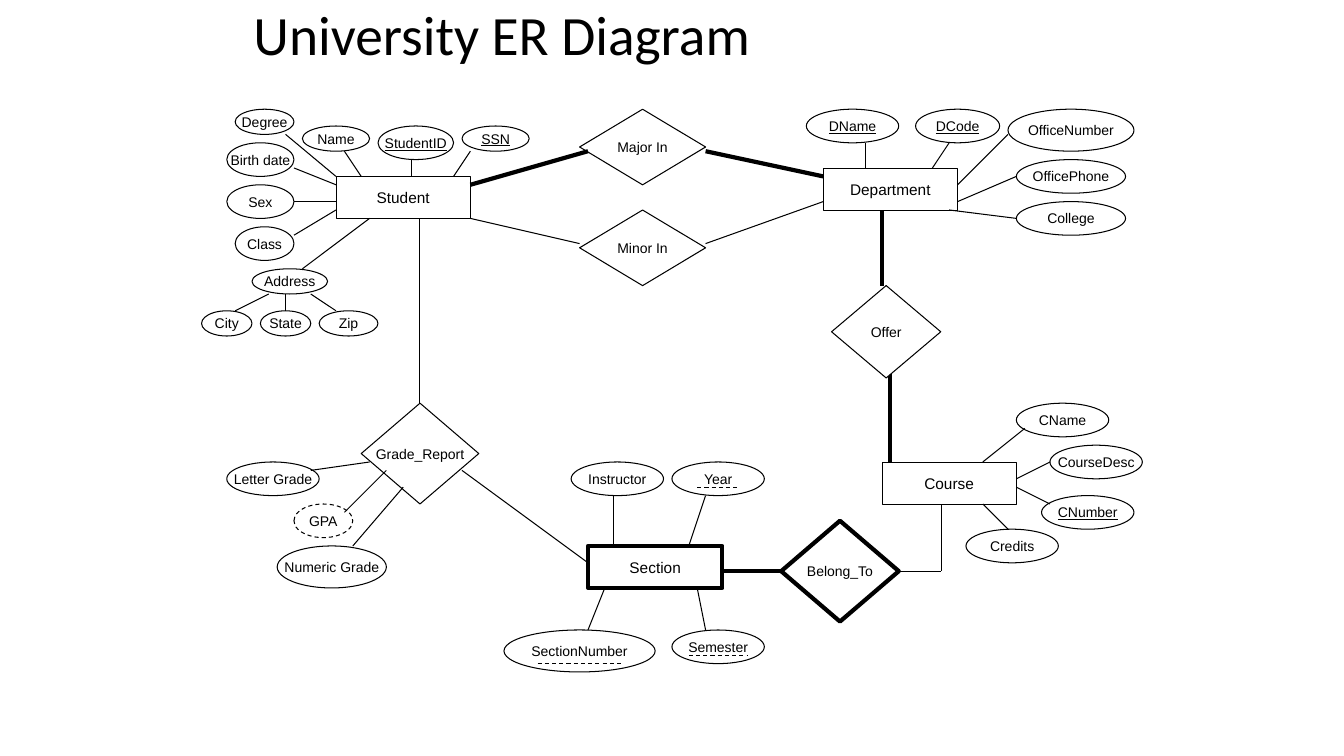
import pptx
import pptx.util
import pptx.dml.color
import pptx.enum.dml
import pptx.enum.shapes
import pptx.enum.text
import pptx.oxml

Pt = pptx.util.Pt
Kind = pptx.enum.shapes.MSO_SHAPE
Dash = pptx.enum.dml.MSO_LINE.DASH
NS = 'xmlns:a="http://schemas.openxmlformats.org/drawingml/2006/main"'
BLACK, WHITE = "000000", "FFFFFF"


# The diagram sits on a grid of twelve steps to the inch
def grid(*steps):
    return [pptx.util.Cm(n * 2.54 / 12) for n in steps]


def ink(fill, color):
    fill.solid()
    fill.fore_color.rgb = pptx.dml.color.RGBColor.from_string(color)


deck = pptx.Presentation()
deck.slide_width, deck.slide_height = grid(160, 90)
board = deck.slides.add_slide(deck.slide_layouts[6]).shapes

# Title
title = board.add_textbox(*grid(29, 0, 102, 9)).text_frame
title.word_wrap = True
title.vertical_anchor = pptx.enum.text.MSO_ANCHOR.MIDDLE
head = title.paragraphs[0]
head.text = "University ER Diagram"
head.line_spacing = 0.9
for key, val in {"name": "Calibri", "size": Pt(39.6)}.items():
    setattr(head.font, key, val)
ink(head.font.fill, BLACK)

# Entities, relations and attributes: text, left, top, width, height
entities = [
    ("Student", 40, 21, 16, 5), ("Department", 98, 20, 16, 5),
    ("Course", 105, 55, 16, 5), ("Section", 70, 65, 16, 5),
]
relations = [
    ("Major In", 69, 13, 15, 9), ("Minor In", 69, 25, 15, 9),
    ("Grade_Report", 43, 48, 14, 12), ("Belong_To", 93, 62, 14, 12),
    ("Offer", 99, 34, 13, 11),
]
traits = [
    # Student
    ("Degree", 28, 13, 7, 3), ("Birth date", 27, 17, 8, 4),
    ("Sex", 27, 22, 8, 4), ("Class", 28, 27, 7, 4),
    ("Name", 36, 15, 8, 3), ("StudentID", 45, 15, 9, 4),
    ("SSN", 55, 15, 8, 3), ("Address", 30, 32, 9, 3),
    ("City", 24, 37, 6, 3), ("State", 31, 37, 6, 3), ("Zip", 38, 37, 7, 3),
    # Department
    ("DName", 96, 13, 11, 4), ("DCode", 109, 13, 10, 4),
    ("OfficeNumber", 120, 13, 15, 5), ("OfficePhone", 121, 19, 13, 4),
    ("College", 121, 24, 13, 4),
    # Course
    ("CName", 121, 48, 11, 4), ("CourseDesc", 125, 53, 11, 4),
    ("CNumber", 124, 59, 11, 4), ("Credits", 115, 63, 11, 4),
    # Section
    ("Instructor", 68, 55, 11, 4), ("Year", 80, 55, 11, 4),
    ("Semester", 80, 75, 11, 4), ("SectionNumber", 60, 75, 18, 5),
    # Grade report
    ("Letter Grade", 27, 55, 11, 4), ("GPA", 35, 60, 7, 4),
    ("Numeric Grade", 33, 65, 13, 5),
]
keys = {"StudentID", "SSN", "DName", "DCode", "CNumber"}
weak = {"Section", "Belong_To"}

nodes, ports = {}, {}
for kind, group, size, width in [
    (Kind.RECTANGLE, entities, 11, 0.25),
    (Kind.OVAL, traits, 10, 0.75),
    (Kind.DIAMOND, relations, 10, 0.75),
]:
    for name, x, y, w, h in group:
        node = nodes[name] = board.add_shape(kind, *grid(x, y, w, h))
        node.shadow.inherit = False
        node.fill.background()
        ink(node.line.fill, BLACK)
        node.line.width = Pt(3 if name in weak else width)
        frame = node.text_frame
        frame.word_wrap = False
        frame.vertical_anchor = pptx.enum.text.MSO_ANCHOR.MIDDLE
        label = frame.paragraphs[0]
        label.text = name
        label.alignment = pptx.enum.text.PP_ALIGN.CENTER
        style = {"name": "Arial", "size": Pt(size), "underline": name in keys}
        for key, val in style.items():
            setattr(label.font, key, val)
        ink(label.font.fill, BLACK)
        if kind != Kind.OVAL:
            sides = [(x + w / 2, y), (x, y + h / 2),
                     (x + w / 2, y + h), (x + w, y + h / 2)]
            for site, spot in enumerate(sides):
                ports[spot] = node, site
nodes["GPA"].line.dash_style = Dash
ink(nodes["Offer"].fill, WHITE)

# Lines by width and dash: from x, y to x, y
thin = [
    # Student
    (28, 37, 32, 35), (34, 35, 34, 37), (37, 35, 40, 37),
    (34, 16, 40, 21), (36, 32, 44, 26), (35, 28, 40, 25),
    (35, 24, 40, 24), (35, 20, 40, 22), (41, 18, 43, 21),
    (49, 19, 49, 21), (56, 18, 54, 21),
    # Department
    (103, 20, 103, 17), (111, 20, 113, 17), (114, 22, 120, 16),
    (114, 24, 121, 21), (113, 25, 121, 26),
    # Course
    (117, 55, 122, 51), (121, 57, 125, 55),
    (121, 58, 125, 60), (117, 60, 120, 63),
    # Section
    (73, 65, 73, 59), (83, 70, 84, 75), (72, 70, 70, 75), (82, 65, 84, 59),
    # Grade report
    (42, 65, 48, 58), (44, 55, 37, 56), (41, 61, 46, 56),
    # Relations
    (55, 56, 70, 67), (50, 48, 50, 26), (107, 68, 112, 68),
    (56, 26, 69, 29), (84, 29, 98, 24),
]
thick = [
    (86, 68, 93, 68), (106, 55, 106, 44), (105, 34, 105, 25),
    (56, 22, 70, 18), (84, 18, 98, 21),
]
partial = [(64, 79, 74, 79), (83, 58, 88, 58), (82, 78, 89, 78)]

for width, dash, group in [
    (0.75, None, thin), (3, None, thick), (0.75, Dash, partial),
    (0.25, None, [(112, 60, 112, 68)]),
]:
    for x1, y1, x2, y2 in group:
        line = board.add_connector(
            pptx.enum.shapes.MSO_CONNECTOR.STRAIGHT, *grid(x1, y1, x2, y2))
        ink(line.line.fill, BLACK)
        line.line.width = Pt(width)
        line.line.dash_style = dash
        line.element.spPr.append(
            pptx.oxml.parse_xml(f"<a:effectLst {NS}/>"))
        if (x1, y1) in ports:
            line.begin_connect(*ports[x1, y1])
        if (x2, y2) in ports:
            line.end_connect(*ports[x2, y2])

# The filled diamond covers the line ends below it
board.element.append(nodes["Offer"].element)

deck.save("out.pptx")
